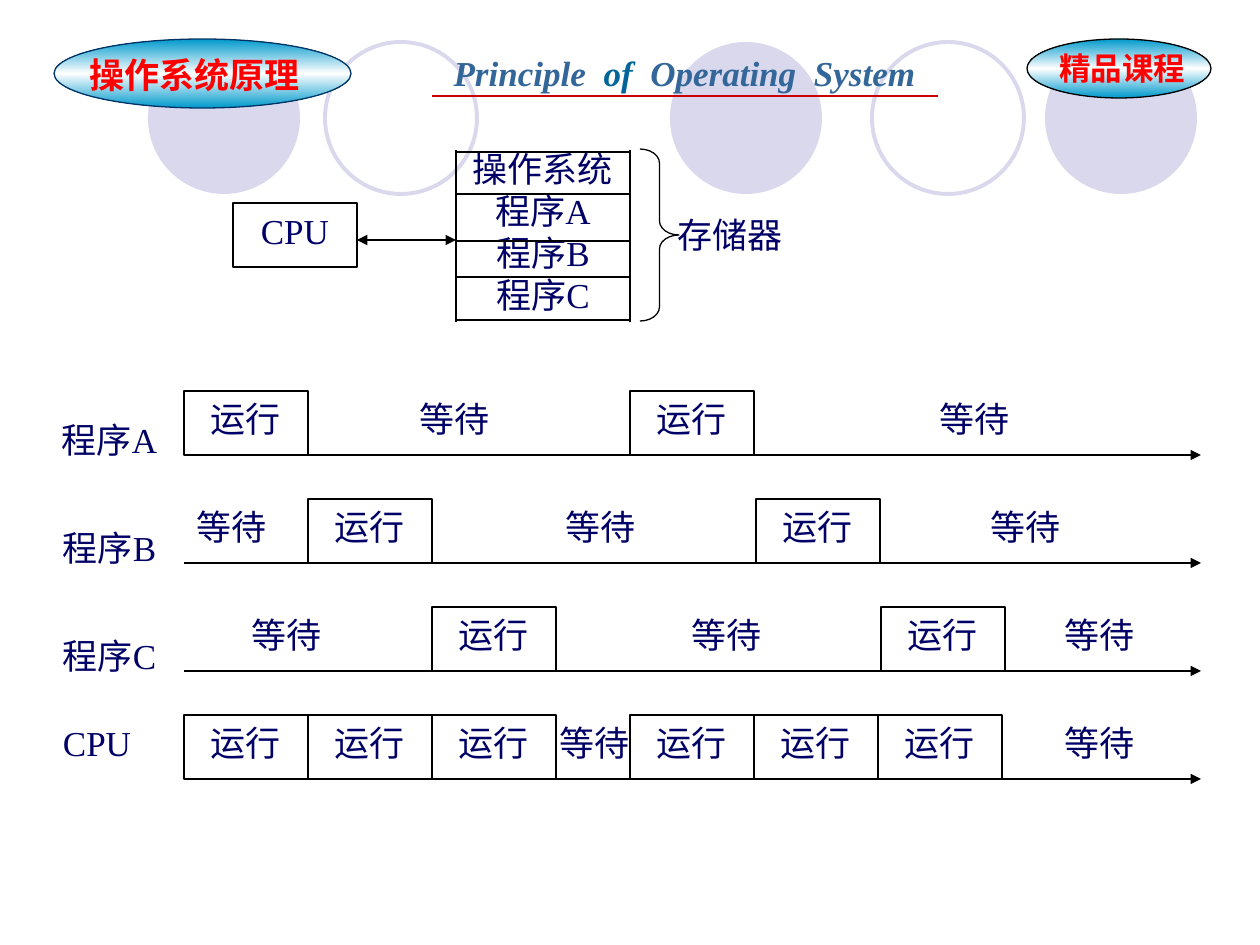
from copy import deepcopy

from lxml import etree
from pptx import Presentation
from pptx.dml.color import RGBColor
from pptx.enum.shapes import MSO_CONNECTOR, MSO_SHAPE
from pptx.enum.text import MSO_ANCHOR, MSO_AUTO_SIZE, PP_ALIGN
from pptx.oxml.ns import qn
from pptx.util import Emu, Pt

EMU_PER_PX = 914400 / 126
RECT, OVAL, BRACE = MSO_SHAPE.RECTANGLE, MSO_SHAPE.OVAL, MSO_SHAPE.RIGHT_BRACE
STRAIGHT = MSO_CONNECTOR.STRAIGHT
LEFT, CENTER, JUSTIFY = PP_ALIGN.LEFT, PP_ALIGN.CENTER, PP_ALIGN.JUSTIFY
TOP, NO_FIT = MSO_ANCHOR.TOP, MSO_AUTO_SIZE.NONE

WHITE = RGBColor(0xFF, 0xFF, 0xFF)
BLACK = RGBColor(0x00, 0x00, 0x00)
NAVY = RGBColor(0x00, 0x00, 0x66)
DEEP_BLUE = RGBColor(0x00, 0x33, 0x66)
STEEL = RGBColor(0x33, 0x66, 0x99)
TEAL = RGBColor(0x00, 0x66, 0x99)
CYAN = RGBColor(0x00, 0x99, 0xCC)
LILAC = RGBColor(0xD9, 0xD8, 0xEC)
RED = RGBColor(0xFF, 0x00, 0x00)
CRIMSON = RGBColor(0xCC, 0x00, 0x00)

BODY = {"name": "Times New Roman", "size": Pt(20)}
BADGE = {"name": "Times New Roman", "size": Pt(20), "bold": True}
SMALL_BADGE = {"name": "Arial", "size": Pt(18), "bold": True}
TITLE = {"name": "Times New Roman", "size": Pt(20), "bold": True, "italic": True}

BLOCK_W, BLOCK_H = 124, 64
ROW_PITCH = 108
ROWS = [
    ("程序A", (35, 21, 149), (184, 630), (407, 927)),
    ("程序B", (35, 21, 149), (308, 756), (184, 553, 978)),
    ("程序C", (35, 21, 149), (432, 881), (239, 679, 1052)),
    ("CPU", (10, 0, 174), (184, 308, 432, 630, 754, 878), (547, 1052)),
]


def px(*lengths):
    """Turn pixel lengths into EMU."""
    return [Emu(round(length * EMU_PER_PX)) for length in lengths]


def add_span(para, text, color, formats):
    """Add one formatted run to a paragraph."""
    span = para.add_run()
    span.text = text
    for name, value in formats.items():
        setattr(span.font, name, value)
    span.font.color.rgb = color
    return span


def write(shape, lines, color=NAVY, formats=BODY, align=CENTER, wrap=True):
    """Fill a shape with one paragraph for each line."""
    frame = shape.text_frame
    frame.word_wrap, frame.vertical_anchor = wrap, TOP
    for index, line in enumerate(lines):
        para = frame.add_paragraph() if index else frame.paragraphs[0]
        para.alignment = align
        add_span(para, line, color, formats)


def add_figure(page, kind, box, fill=None, line=None, weight=0.75):
    """Add a preset shape with an optional fill and outline."""
    shape = page.shapes.add_shape(kind, *px(*box))
    shape.shadow.inherit = False
    for part, color in ((shape.fill, fill), (shape.line.fill, line)):
        if color is None:
            part.background()
        else:
            part.solid()
            part.fore_color.rgb = color
    if line is not None:
        shape.line.width = Pt(weight)
    return shape


def add_line(page, start, end, color=BLACK, weight=0.75, ends=()):
    """Add a straight connector with triangles on the named ends."""
    connector = page.shapes.add_connector(STRAIGHT, *px(*start, *end))
    connector.line.color.rgb = color
    connector.line.width = Pt(weight)
    outline = connector.element.xpath(".//a:ln")[0]
    for name in ends:
        etree.SubElement(outline, qn(f"a:{name}"), type="triangle")
    etree.SubElement(connector.element.spPr, qn("a:effectLst"))


def add_circles(page, top, size):
    """Draw the row of filled and hollow circles behind the header."""
    for left in (670, 1045, 148):
        add_figure(page, OVAL, (left, top, size, size), fill=LILAC)
    for left in (872, 325):
        add_figure(page, OVAL, (left, top, size, size), line=LILAC, weight=2.25)


def add_badge(page, box, text_box, text, line, formats, wrap):
    """Draw a glossy oval and its caption, offset from the oval's corner."""
    oval = add_figure(page, OVAL, box, line=line)
    oval.fill.gradient()
    oval.fill.gradient_angle = 90
    stop_list = oval.element.xpath(".//a:gsLst")[0]
    stop_list.insert(1, deepcopy(stop_list[0]))
    for stop, position, color in zip(oval.fill.gradient_stops, (0, 0.5, 1), (CYAN, WHITE, CYAN)):
        stop.position = position
        stop.color.rgb = color
    left, top, width, height = text_box
    caption = page.shapes.add_textbox(*px(box[0] + left, box[1] + top, width, height))
    write(caption, [text], RED, formats, LEFT, wrap)


def add_title(page, box):
    """Place the underlined title above the circles."""
    left, top, width, height = box
    title = page.shapes.title
    title.left, title.top, title.width, title.height = px(*box)
    page.shapes.element.append(title.element)
    frame = title.text_frame
    frame.word_wrap, frame.vertical_anchor, frame.auto_size = False, TOP, NO_FIT
    para = frame.paragraphs[0]
    para.alignment = LEFT
    words = (("Principle", STEEL), ("of", TEAL), ("Operating", STEEL), ("System", STEEL))
    for index, (word, color) in enumerate(words):
        if index:
            gap = add_span(para, " ", color, TITLE)
            gap.font._element.set("spc", "500")
        add_span(para, word, color, TITLE)
    add_line(page, (left - 9, top + 51), (left + width + 2, top + 51), CRIMSON, 1)


def add_memory(page, box):
    """Draw the memory map, its brace and the linked processor."""
    left, top, width, height = box
    right = left + width
    stack = page.shapes.add_textbox(*px(*box))
    write(stack, ["操作系统", "程序A", "程序B", "程序C"])
    for x in (left, right):
        add_line(page, (x, top + 9), (x, top + 181))
    for offset in (11, 53, 100, 136, 179):
        add_line(page, (left, top + offset), (right, top + offset))
    processor = add_figure(page, RECT, (left - 223, top + 62, BLOCK_W, BLOCK_H), WHITE, BLACK)
    write(processor, ["CPU"])
    add_line(page, (left - 99, top + 99), (left, top + 99), ends=("headEnd", "tailEnd"))
    brace = add_figure(page, BRACE, (right + 10, top + 8, 39, 172), line=BLACK)
    brace.adjustments[0] = 0.36
    label = page.shapes.add_textbox(*px(right + 35, top + 66, 149, 64))
    write(label, ["存储器"], align=JUSTIFY)


def add_timeline(page, top, name, label, runs, waits):
    """Draw one timeline with its label, waiting and running blocks."""
    label_left, label_drop, label_width = label
    tag = add_figure(page, RECT, (label_left, top + label_drop, label_width, BLOCK_H), WHITE)
    write(tag, [name])
    for lefts, text, line, align in ((waits, "等待", None, JUSTIFY), (runs, "运行", BLACK, CENTER)):
        for left in lefts:
            block = add_figure(page, RECT, (left, top, BLOCK_W, BLOCK_H), WHITE, line)
            write(block, [text], align=align)
    add_line(page, (184, top + BLOCK_H), (1201, top + BLOCK_H), ends=("tailEnd",))


def main():
    """Build the slide and save the deck."""
    deck = Presentation()
    deck.slide_width, deck.slide_height = px(1260, 945)
    page = deck.slides.add_slide(deck.slide_layouts[5])
    add_circles(page, 42, 152)
    add_badge(page, (54, 39, 297, 69), (23, 8, 236, 55), "操作系统原理", DEEP_BLUE, BADGE, False)
    add_title(page, (441, 45, 495, 55))
    add_badge(page, (1027, 39, 184, 59), (20, 4, 174, 50), "精品课程", BLACK, SMALL_BADGE, True)
    add_memory(page, (456, 141, 174, 194))
    for index, row in enumerate(ROWS):
        add_timeline(page, 391 + index * ROW_PITCH, *row)
    deck.save("out.pptx")


if __name__ == "__main__":
    main()
